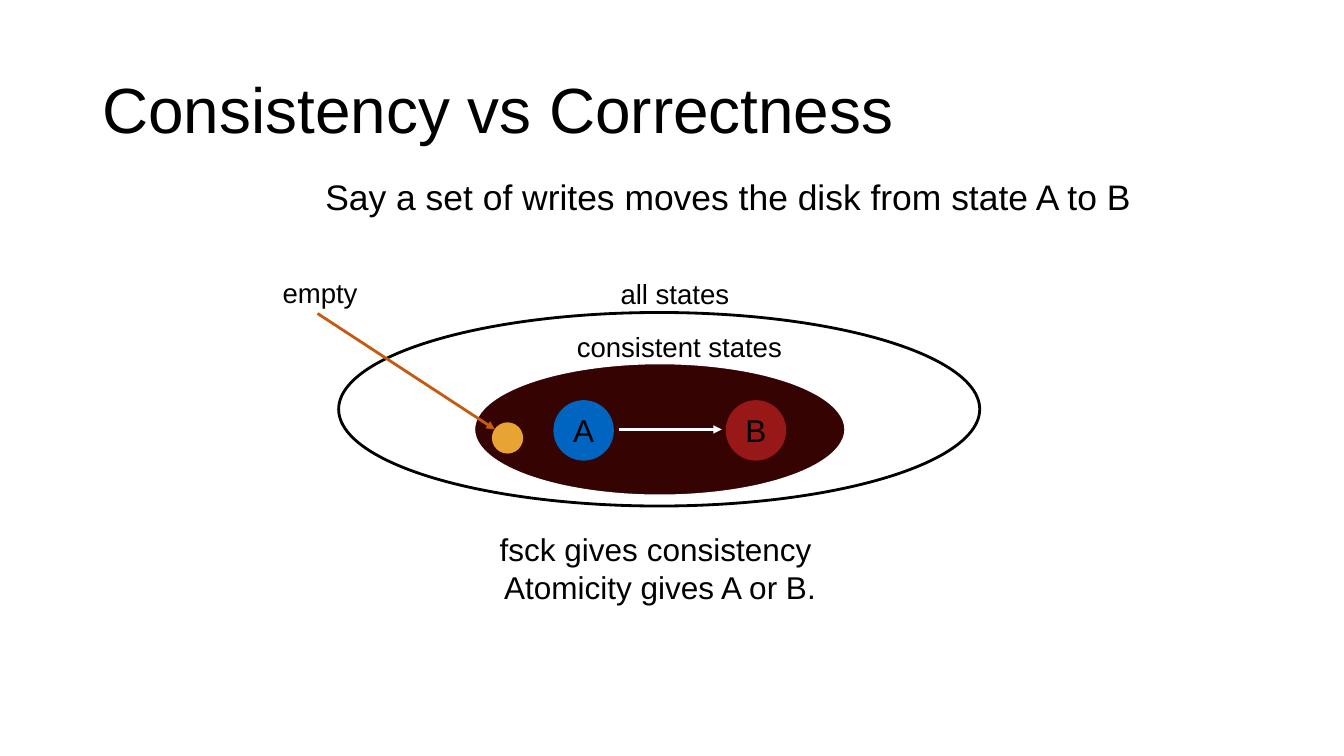
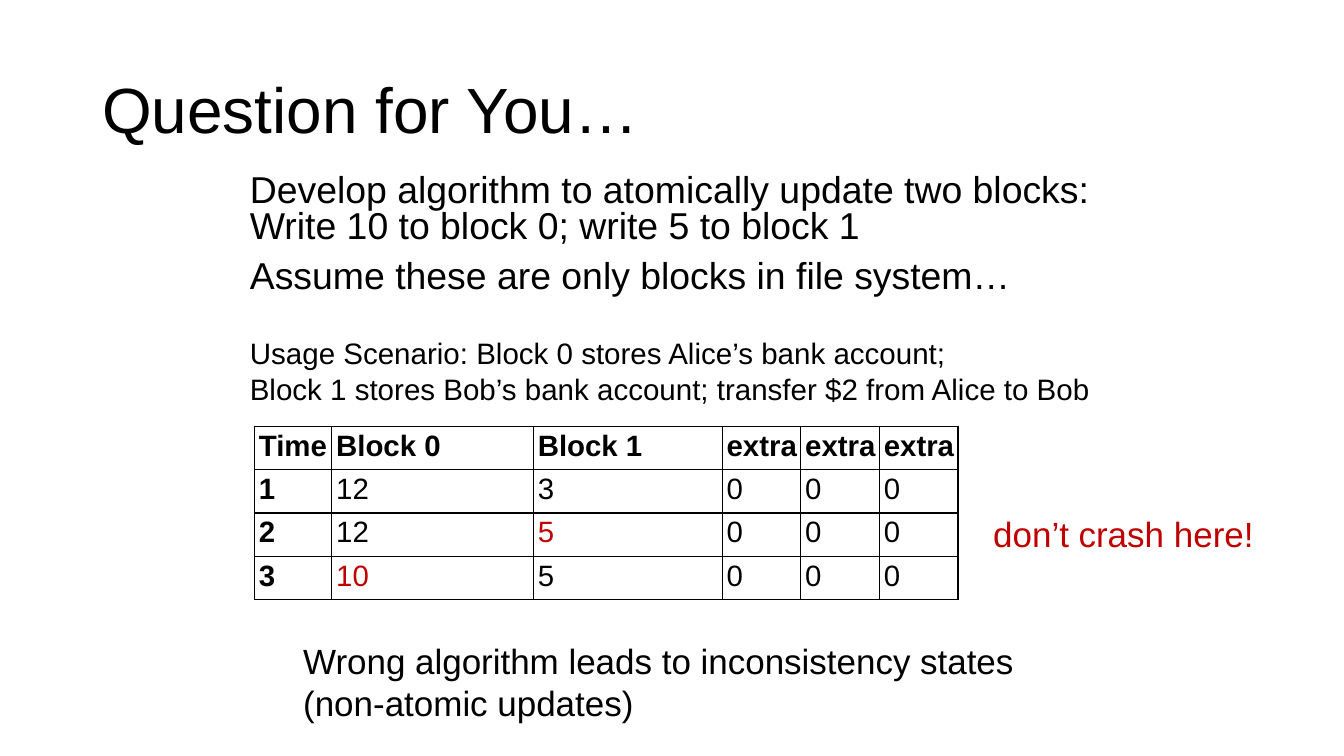
from lxml.etree import SubElement
from pptx import Presentation
from pptx.dml.color import RGBColor
from pptx.enum.shapes import MSO_CONNECTOR, MSO_SHAPE
from pptx.enum.text import MSO_ANCHOR, PP_ALIGN
from pptx.oxml.ns import qn
from pptx.util import Inches, Pt

# Shared look: a grid of 80 columns by 45 rows with square cells
COLORS = {"text": "000000", "white": "FFFFFF", "consistent": "340302", "a": "0065C1",
          "b": "971817", "empty": "E8A433", "arrow": "C55A11", "warning": "C00000"}
RGB = {name: RGBColor.from_string(value) for name, value in COLORS.items()}
FONT = "Arial"
prs = Presentation()
prs.slide_width, prs.slide_height = Inches(13.333), Inches(7.5)
G = prs.slide_height / 45
TITLE = {"box": (5.5, 2.35, 69, 8.7), "size": 45.6, "anchor": MSO_ANCHOR.MIDDLE,
         "para": {"line_spacing": 0.9}}
CENTER = {"alignment": PP_ALIGN.CENTER}
PAD, TIGHT, NONE = (0.6, 0.3), (0.26, 0.26), (0, 0)


def grid(*cells):
    return [round(c * G) for c in cells]


def fill_text(tf, lines, size, color="text", bold=False, pad=PAD,
              anchor=MSO_ANCHOR.TOP, para=None):
    px, py = grid(*pad)
    frame = {"word_wrap": True, "vertical_anchor": anchor, "margin_left": px,
             "margin_right": px, "margin_top": py, "margin_bottom": py}
    for key, value in frame.items():
        setattr(tf, key, value)
    for i, line in enumerate(lines):
        p = tf.add_paragraph() if i else tf.paragraphs[0]
        for key, value in (para or {}).items():
            setattr(p, key, value)
        # A newline inside one paragraph is a line break
        for j, part in enumerate(line.split("\n")):
            if j:
                p.add_line_break()
            r = p.add_run()
            r.text = part
            for key, value in {"name": FONT, "size": Pt(size), "bold": bold}.items():
                setattr(r.font, key, value)
            r.font.color.rgb = RGB[color]


# Slide 1: states of the disk
s = prs.slides.add_slide(prs.slide_layouts[6])

# Ovals: box, fill, line, letter
ovals = [
    ((28.2, 21.6, 22.14, 7.92), "consistent", "white", ""),
    ((20.16, 18.6, 38.16, 11.52), None, "text", ""),
    ((32.94, 23.82, 3.6, 3.6), "a", None, "A"),
    ((43.2, 23.82, 3.6, 3.6), "b", None, "B"),
    ((29.28, 25.14, 1.86, 1.86), "empty", None, ""),
]
for box, fill, line, letter in ovals:
    sp = s.shapes.add_shape(MSO_SHAPE.OVAL, *grid(*box))
    sp.shadow.inherit = False
    if fill:
        sp.fill.solid()
        sp.fill.fore_color.rgb = RGB[fill]
    else:
        sp.fill.background()
    if line:
        sp.line.color.rgb = RGB[line]
        sp.line.width = Pt(2)
    else:
        sp.line.fill.background()
    if letter:
        fill_text(sp.text_frame, [letter], 22.5, pad=NONE,
                  anchor=MSO_ANCHOR.MIDDLE, para=CENTER)

# Arrows: A to B, and the label to the empty state
for ends, color in [((36.84, 25.56, 42.96, 25.56), "white"),
                    ((18.9, 18.66, 29.46, 25.56), "arrow")]:
    sp = s.shapes.add_connector(MSO_CONNECTOR.STRAIGHT, *grid(*ends))
    sp.line.color.rgb = RGB[color]
    sp.line.width = Pt(2)
    SubElement(sp.line._get_or_add_ln(), qn("a:tailEnd"), type="triangle")
    SubElement(sp._element.spPr, qn("a:effectLst"))

# Title, statement, state labels and conclusion
label = {"size": 19.7, "pad": TIGHT, "anchor": MSO_ANCHOR.MIDDLE, "para": CENTER}
state_texts = [
    (["Consistency vs Correctness"], TITLE),
    (["Say a set of writes moves the disk from state A to B"],
     {"box": (18.78, 10.44, 51.24, 3.6), "size": 25.3,
      "para": {"line_spacing": 0.9, "space_before": Pt(10)}}),
    (["consistent states"], {"box": (33.44, 19.38, 14, 2.46), **label}),
    (["all states"], {"box": (36.17, 16.26, 8, 2.46), **label}),
    (["empty"], {"box": (16.05, 16.2, 6, 2.46), **label}),
    (["fsck gives consistency ", "Atomicity gives A or B."],
     {"box": (13.68, 31.56, 51.24, 7.44), "size": 22.5, "pad": NONE, "para": CENTER}),
]

# Slide 2: atomic update of two blocks
s2 = prs.slides.add_slide(prs.slide_layouts[6])
question_texts = [
    (["Question for You…"], TITLE),
    (["Develop algorithm to atomically update two blocks:\n"
      "Write 10 to block 0; write 5 to block 1",
      "Assume these are only blocks in file system…"],
     {"box": (14.28, 10.12, 55.68, 8.46), "size": 26.7,
      "para": {"line_spacing": 0.8, "space_before": Pt(10)}}),
    (["Usage Scenario: Block 0 stores Alice’s bank account;",
      "Block 1 stores Bob’s bank account; transfer $2 from Alice to Bob"],
     {"box": (14.28, 19.65, 53, 4.86), "size": 21.1}),
    (["Wrong algorithm leads to inconsistency states\n(non-atomic updates)"],
     {"box": (17.46, 37.8, 44.58, 5.64), "size": 25}),
    (["don’t crash here!"],
     {"box": (58.86, 30.25, 17, 3), "size": 25, "color": "warning",
      "pad": TIGHT, "anchor": MSO_ANCHOR.MIDDLE}),
]

# Text boxes of both slides
for slide, texts in [(s, state_texts), (s2, question_texts)]:
    for lines, style in texts:
        style = dict(style)
        tb = slide.shapes.add_textbox(*grid(*style.pop("box")))
        fill_text(tb.text_frame, lines, **style)

# Table of block values over time
rows = [["Time", "Block 0", "Block 1"] + ["extra"] * 3,
        ["1", "12", "3"] + ["0"] * 3,
        ["2", "12", "5"] + ["0"] * 3,
        ["3", "10", "5"] + ["0"] * 3]
col_widths = [4.6, 12, 11.24] + [4.68] * 3
row_height = 2.58
# No right margin, so that each heading stays on one line
margins = {"left": 0.26, "right": 0, "top": 0.2, "bottom": 0.2}
changed = {(2, 2), (3, 1)}
table = s2.shapes.add_table(len(rows), len(col_widths), *grid(
    15.15, 25.38, sum(col_widths), row_height * len(rows))).table
table.first_row = table.horz_banding = False
for col, width in zip(table.columns, grid(*col_widths)):
    col.width = width
for i, row in enumerate(rows):
    table.rows[i].height = grid(row_height)[0]
    for j, value in enumerate(row):
        cell = table.cell(i, j)
        for side, margin in margins.items():
            setattr(cell, "margin_" + side, grid(margin)[0])
        p = cell.text_frame.paragraphs[0]
        r = p.add_run()
        r.text = value
        for key, val in {"name": FONT, "size": Pt(21), "bold": i == 0 or j == 0}.items():
            setattr(r.font, key, val)
        r.font.color.rgb = RGB["warning" if (i, j) in changed else "text"]
        # Borders come before the fill in the cell properties
        tcPr = cell._tc.get_or_add_tcPr()
        for tag in ("a:lnL", "a:lnR", "a:lnT", "a:lnB"):
            ln = SubElement(tcPr, qn(tag), w=str(Pt(1)))
            solid = SubElement(ln, qn("a:solidFill"))
            SubElement(solid, qn("a:srgbClr"), val=COLORS["text"])
        cell.fill.background()

prs.save("out.pptx")
